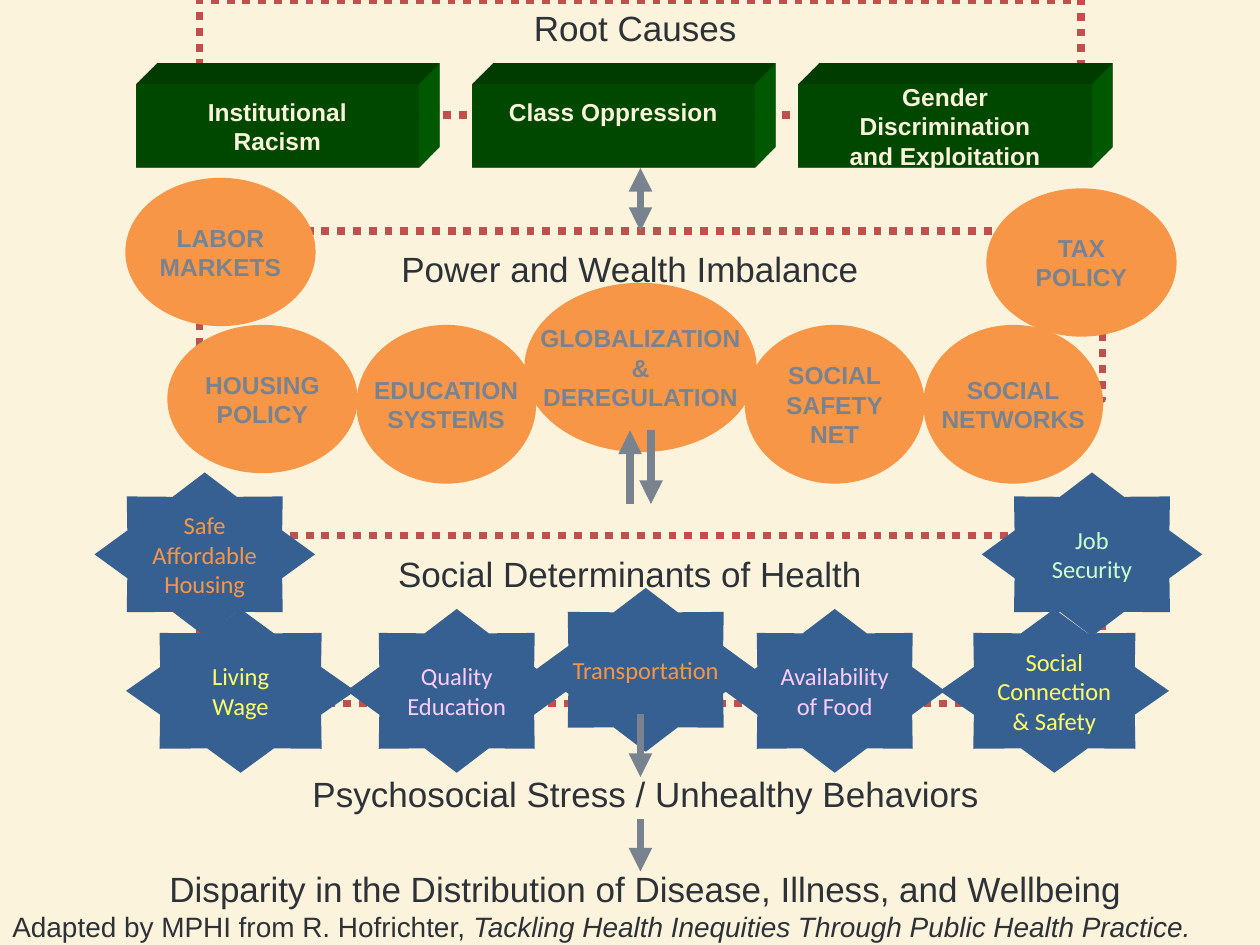
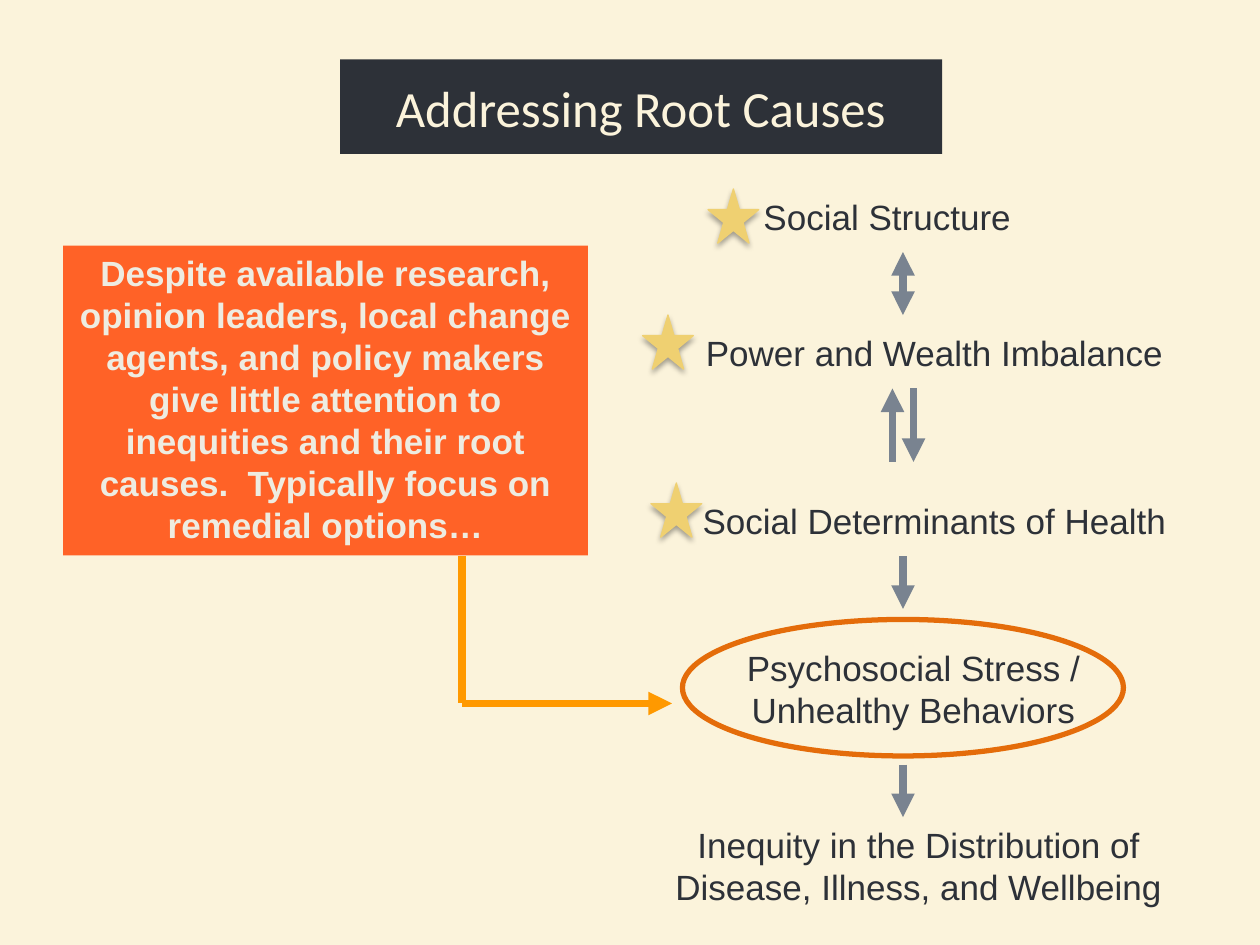
"""Build two slides on the root causes of health inequity."""
import lxml.etree
import pptx
import pptx.dml.color
import pptx.enum.dml
import pptx.enum.shapes
import pptx.enum.text
import pptx.oxml
import pptx.oxml.ns
import pptx.util

Pt = pptx.util.Pt
RGBColor = pptx.dml.color.RGBColor
SHAPE = pptx.enum.shapes.MSO_SHAPE
ALIGN = pptx.enum.text.PP_ALIGN
ANCHOR = pptx.enum.text.MSO_ANCHOR
qn = pptx.oxml.ns.qn

CREAM = RGBColor(0xFB, 0xF3, 0xDB)
INK = RGBColor(0x2D, 0x31, 0x38)
GREY = RGBColor(0x79, 0x83, 0x90)
RED = RGBColor(0xC0, 0x50, 0x4D)
GREEN = RGBColor(0x00, 0x66, 0x00)
ORANGE = RGBColor(0xF7, 0x96, 0x46)
BLUE = RGBColor(0x37, 0x60, 0x92)
YELLOW = RGBColor(0xFF, 0xFF, 0x66)
PINK = RGBColor(0xFF, 0xCC, 0xFF)
MINT = RGBColor(0xCC, 0xFF, 0xCC)
RING = RGBColor(0xE4, 0x6C, 0x0A)
CALLOUT = RGBColor(0xFF, 0x62, 0x27)
CALLOUT_TEXT = RGBColor(0xEE, 0xEC, 0xE1)
AMBER = RGBColor(0xFF, 0x99, 0x00)
GOLD = RGBColor(0xEF, 0xD0, 0x71)

DRAWING = 'xmlns:a="http://schemas.openxmlformats.org/drawingml/2006/main"'
DEPTH = (
    f'<a:scene3d {DRAWING}><a:camera prst="legacyObliqueTopRight"/>'
    '<a:lightRig rig="legacyFlat3" dir="b"/></a:scene3d>',
    f'<a:sp3d {DRAWING} extrusionH="430200" prstMaterial="legacyMatte">'
    '<a:bevelT w="13500" h="13500" prst="angle"/><a:bevelB w="13500" h="13500" prst="angle"/>'
    f'<a:extrusionClr><a:srgbClr val="{GREEN}"/></a:extrusionClr></a:sp3d>',
)
SOFT_SHADOW = (
    f'<a:effectLst {DRAWING}><a:outerShdw blurRad="39400" dist="22900" dir="5400000" '
    'rotWithShape="0"><a:srgbClr val="000000"><a:alpha val="35000"/></a:srgbClr>'
    '</a:outerShdw></a:effectLst>'
)


def write(shape, *paragraphs, size=20, color=INK, font="Arial", bold=False,
          align=ALIGN.CENTER, anchor=ANCHOR.TOP, wrap=True, italic_tail=""):
    """Fill a shape with formatted paragraphs, the last with an optional italic tail."""
    frame = shape.text_frame
    frame.word_wrap = wrap
    frame.vertical_anchor = anchor
    for index, content in enumerate(paragraphs):
        paragraph = frame.paragraphs[0] if index == 0 else frame.add_paragraph()
        paragraph.alignment = align
        pieces = [(content, False)]
        if italic_tail and index == len(paragraphs) - 1:
            pieces.append((italic_tail, True))
        for text, italic in pieces:
            run = paragraph.add_run()
            run.text = text
            run.font.size = Pt(size)
            run.font.name = font
            run.font.bold = bold
            run.font.italic = italic
            run.font.color.rgb = color


def add_label(slide, box, *paragraphs, **style):
    """Add a text box in the shared label style."""
    label = slide.shapes.add_textbox(*map(Pt, box))
    write(label, *paragraphs, **style)


def add_figure(slide, preset, box, fill=None, line=None, width=0.75):
    """Add a flat preset shape with an optional fill and outline."""
    figure = slide.shapes.add_shape(preset, *map(Pt, box))
    figure.shadow.inherit = False
    if fill is None:
        figure.fill.background()
    else:
        figure.fill.solid()
        figure.fill.fore_color.rgb = fill
    if line is None:
        figure.line.fill.background()
    else:
        figure.line.color.rgb = line
        figure.line.width = Pt(width)
    return figure


def add_arrow(slide, start, end, color=GREY, ends=("tailEnd",)):
    """Add a thick straight line with triangles at the named ends."""
    arrow = slide.shapes.add_connector(
        pptx.enum.shapes.MSO_CONNECTOR.STRAIGHT, *map(Pt, (*start, *end)))
    arrow.line.color.rgb = color
    arrow.line.width = Pt(4.5)
    outline = arrow.line._get_or_add_ln()
    for name in ends:
        lxml.etree.SubElement(outline, qn("a:" + name), type="triangle")
    lxml.etree.SubElement(arrow._element.spPr, qn("a:effectLst"))


def add_arrow_pair(slide, center, top):
    """Add an upward and a downward arrow side by side."""
    add_arrow(slide, (center - 6, top + 42), (center - 6, top))
    add_arrow(slide, (center + 6, top), (center + 6, top + 42))


def add_level(slide, box, title, title_box):
    """Add a dotted frame with the name of its level."""
    left, top = box[:2]
    frame = add_figure(slide, SHAPE.RECTANGLE, box, line=RED, width=4.5)
    frame.line.dash_style = pptx.enum.dml.MSO_LINE.ROUND_DOT
    dx, dy, width = title_box
    add_label(slide, (left + dx, top + dy, width, 31), title)


def add_root_causes(slide, box):
    """Add the level of root causes with its solid blocks."""
    add_level(slide, box, "Root Causes", (114, 0, 270))
    left, top = box[:2]
    causes = [
        (-36, 161, ("Institutional", "Racism"), 3.6),
        (156, 161, ("Class Oppression",), 20),
        (342, 168, ("Gender", "Discrimination", "and Exploitation"), 3.6),
    ]
    for dx, width, words, bottom_inset in causes:
        block = add_figure(slide, SHAPE.RECTANGLE, (left + dx, top + 48, width, 48), GREEN)
        for part in DEPTH:
            block._element.spPr.append(pptx.oxml.parse_xml(part))
        write(block, *words, size=14, color=CREAM, bold=True, anchor=ANCHOR.MIDDLE, wrap=False)
        block.text_frame.margin_bottom = Pt(bottom_inset)


def add_imbalance(slide, box):
    """Add the level of power and wealth with its policy ellipses."""
    add_level(slide, box, "Power and Wealth Imbalance", (60, 6, 372))
    left, top = box[:2]
    policies = [
        (-42, -30, 108, 84, ("LABOR", "MARKETS")),
        (186, 30, 132, 96, ("GLOBALIZATION", "&", "DEREGULATION")),
        (-18, 54, 108, 84, ("HOUSING", "POLICY")),
        (90, 54, 102, 90, ("EDUCATION", "SYSTEMS")),
        (450, -24, 108, 84, ("TAX", "POLICY")),
        (414, 54, 102, 90, ("SOCIAL", "NETWORKS")),
        (312, 54, 102, 90, ("SOCIAL", "SAFETY", "NET")),
    ]
    for dx, dy, width, height, words in policies:
        policy = add_figure(slide, SHAPE.OVAL, (left + dx, top + dy, width, height),
                            ORANGE, ORANGE)
        write(policy, *words, size=14, color=GREY, bold=True, anchor=ANCHOR.MIDDLE, wrap=False)


def add_determinants(slide, box):
    """Add the level of social determinants with its stars."""
    add_level(slide, box, "Social Determinants of Health", (60, 6, 372))
    left, top = box[:2]
    determinants = [
        (-60, -36, 126, ORANGE, ("Safe", "Affordable", "Housing")),
        (423, 42, 131, YELLOW, ("Social", "Connection", "& Safety")),
        (84, 42, 126, PINK, ("Quality", "Education")),
        (447, -36, 126, MINT, ("Job", "Security")),
        (-42, 42, 131, YELLOW, ("Living", "Wage")),
        (192, 30, 126, ORANGE, ("Transportation",)),
        (300, 42, 126, PINK, ("Availability", "of Food")),
    ]
    for dx, dy, width, color, words in determinants:
        star = add_figure(slide, SHAPE.STAR_8_POINT, (left + dx, top + dy, width, 93.6), BLUE)
        star.adjustments[0] = 0.38
        write(star, *words, size=14, color=color, font="Calibri",
              anchor=ANCHOR.MIDDLE, wrap=False)


def add_outcomes(slide, box):
    """Add the outcomes below the levels and the source line."""
    left, top, width, _ = box
    center = left + 366
    add_label(slide, (left + 114, top + 30, 510, 31), "Psychosocial Stress / Unhealthy Behaviors")
    add_label(slide, (left + 30, top + 84, 678, 31),
              "Disparity in the Distribution of Disease, Illness, and Wellbeing")
    add_label(slide, (left, top + 108, width, 27), "Adapted by MPHI from R. Hofrichter, ",
              size=16, align=ALIGN.LEFT,
              italic_tail="Tackling Health Inequities Through Public Health Practice.")
    add_arrow(slide, (center, top), (center, top + 36))
    add_arrow(slide, (center, top + 60), (center, top + 90))


def add_title(slide, box, text):
    """Add the dark title band."""
    band = add_figure(slide, SHAPE.RECTANGLE, box, INK)
    write(band, text, size=29, color=CREAM, font="Calibri", anchor=ANCHOR.MIDDLE)


def add_callout(slide, box):
    """Add the research note and its bent arrow to the pathway."""
    left, top, _, height = box
    note = add_figure(slide, SHAPE.RECTANGLE, box, CALLOUT)
    write(note, "Despite available research, opinion leaders, local change agents, and policy "
          "makers give little attention to inequities and their root causes.  Typically focus "
          "on remedial options…", color=CALLOUT_TEXT, bold=True)
    corner = (left + 228, top + 261.6)
    add_arrow(slide, (corner[0], top + height + 0.6), corner, AMBER, ends=())
    add_arrow(slide, corner, (corner[0] + 120, corner[1]), AMBER)


def add_pathway(slide, box):
    """Add the chain from social structure to inequity."""
    left, top = box[:2]
    center = left + 192
    add_figure(slide, SHAPE.OVAL, (left + 66, top + 246, 252, 78), line=RING, width=3)
    steps = [
        (48, 0, 270, 31, ("Social Structure",)),
        (24, 78, 372, 31, ("Power and Wealth Imbalance",)),
        (24, 174, 372, 31, ("Social Determinants of Health",)),
        (0, 258, 396, 55, ("Psychosocial Stress /", "Unhealthy Behaviors")),
        (6, 359, 390, 55, ("Inequity in the Distribution of", "Disease, Illness, and Wellbeing")),
    ]
    for dx, dy, width, height, words in steps:
        add_label(slide, (left + dx, top + dy, width, height), *words)
    add_arrow(slide, (center, top + 36), (center, top + 72), ends=("headEnd", "tailEnd"))
    add_arrow_pair(slide, center, top + 114)
    for dy in (210, 329):
        add_arrow(slide, (center, top + dy), (center, top + dy + 30))
    for dx, dy in ((80.6, 0), (43.2, 72), (48, 168)):
        marker = add_figure(slide, SHAPE.STAR_5_POINT, (left + dx, top + dy, 29, 31), GOLD, GOLD)
        properties = marker._element.spPr
        properties.replace(properties.find(qn("a:effectLst")), pptx.oxml.parse_xml(SOFT_SHADOW))


def add_slide(deck):
    """Add a blank slide with the shared background."""
    slide = deck.slides.add_slide(deck.slide_layouts[6])
    slide.background.fill.solid()
    slide.background.fill.fore_color.rgb = CREAM
    return slide


def main():
    """Build and save the deck."""
    deck = pptx.Presentation()
    deck.slide_width, deck.slide_height = Pt(720), Pt(540)

    levels = add_slide(deck)
    add_root_causes(levels, (114, 0, 504, 66))
    add_imbalance(levels, (114, 132, 516, 96))
    add_determinants(levels, (114, 306, 516, 96))
    add_arrow(levels, (366, 96), (366, 132), ends=("headEnd", "tailEnd"))
    add_arrow_pair(levels, 366, 246)
    add_outcomes(levels, (0, 408, 720, 132))

    addressing = add_slide(deck)
    add_title(addressing, (194.4, 34, 344, 54), "Addressing Root Causes")
    add_callout(addressing, (36, 140.4, 300, 177))
    add_pathway(addressing, (324, 108, 396, 414))

    deck.save("out.pptx")


if __name__ == "__main__":
    main()
